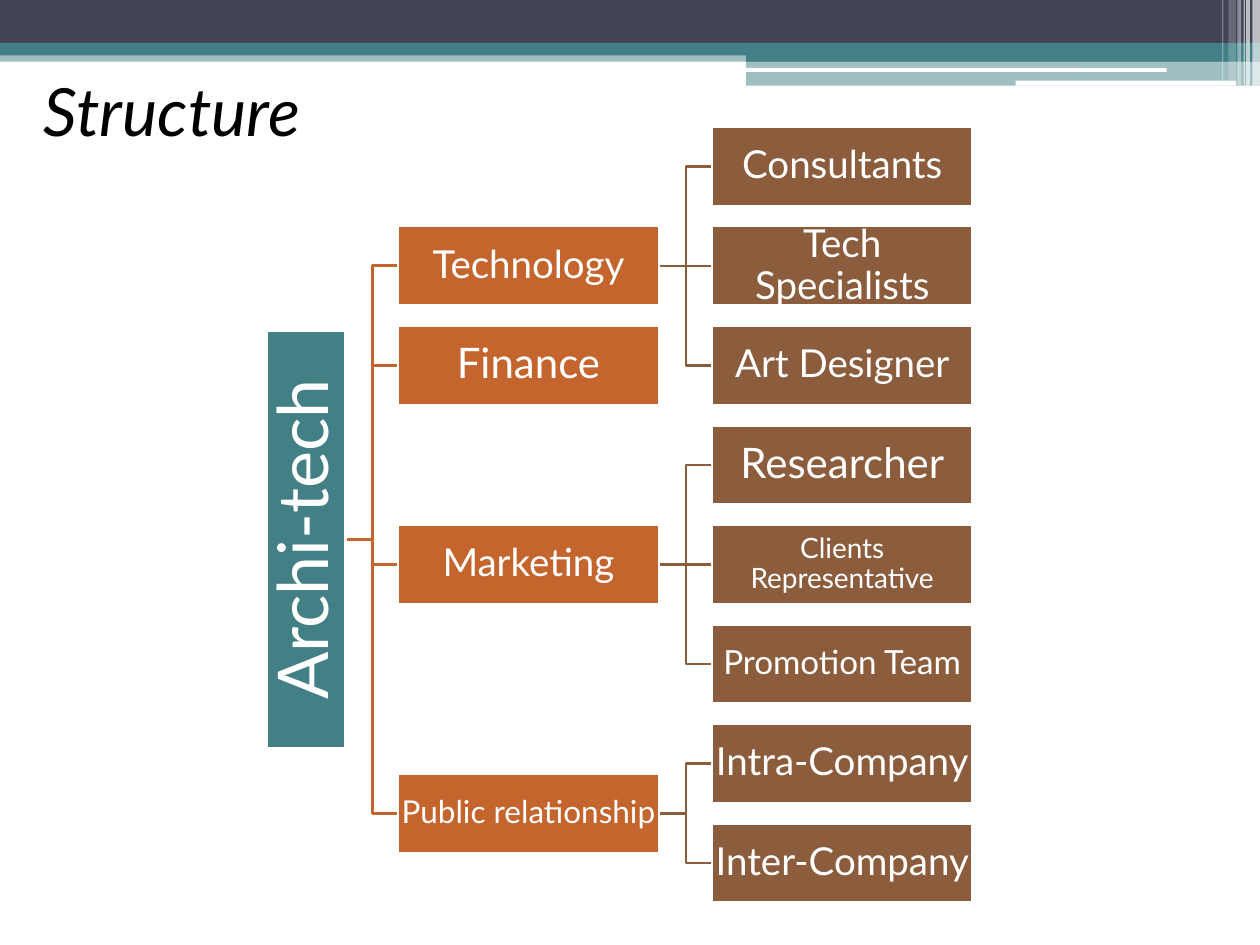
from lxml.etree import SubElement
from pptx import Presentation
from pptx.dml.color import RGBColor
from pptx.enum.shapes import MSO_CONNECTOR, MSO_SHAPE
from pptx.enum.text import MSO_ANCHOR, PP_ALIGN
from pptx.oxml.ns import qn
from pptx.util import Inches, Pt

WHITE = RGBColor(0xFF, 0xFF, 0xFF)
BLACK = RGBColor(0x00, 0x00, 0x00)
NAVY = RGBColor(0x42, 0x44, 0x56)
TEAL = RGBColor(0x43, 0x80, 0x86)
ORANGE = RGBColor(0xC4, 0x65, 0x2D)
BROWN = RGBColor(0x8B, 0x5D, 0x3D)
FONT = "Lato"

BOX_WIDTH, BOX_HEIGHT = 2.07, 0.63
ROOT_LENGTH, ROOT_CENTER = 3.32, 2.43
DEPARTMENT_LEFT, TEAM_LEFT = 3.16, 5.65
LINK_LENGTH = 0.41
FIRST_ROW, ROW_STEP = 1.32, 0.79

BANDS = [
    (0, 0.4, 10, 0.09, TEAL, 50),
    (0, 0, 10, 0.34, NAVY, 100),
    (0, 0.34, 10, 0.1, TEAL, 100),
    (5.92, 0.39, 4.08, 0.1, TEAL, 100),
    (5.92, 0.48, 4.08, 0.2, TEAL, 50),
]
HIGHLIGHTS = [(5.91, 0.54, 3.35, 0.03), (8.06, 0.64, 1.75, 0.04)]
STRIPES = [
    (9.94, 0.06, 0.68, 65),
    (9.89, 0.03, 0.68, 65),
    (9.87, 0.01, 0.68, 60),
    (9.82, 0.03, 0.68, 40),
    (9.75, 0.06, 0.64, 20),
    (9.7, 0.01, 0.64, 30),
]
DEPARTMENTS = [
    ("Technology", 22, 1,
     [("Consultants", 22, 0), ("Tech Specialists", 22, 1), ("Art Designer", 22, 2)]),
    ("Finance", 24, 2, []),
    ("Marketing", 22, 4,
     [("Researcher", 24, 3), ("Clients Representative", 16, 4), ("Promotion Team", 19, 5)]),
    ("Public relationship", 18, 6.5,
     [("Intra-Company", 22, 6), ("Inter-Company", 22, 7)]),
]


def row_center(row):
    return FIRST_ROW + row * ROW_STEP


def add_block(page, left, top, width, height, color, opacity=100, kind=MSO_SHAPE.RECTANGLE):
    block = page.shapes.add_shape(
        kind, Inches(left), Inches(top), Inches(width), Inches(height))
    block.shadow.inherit = False
    block.line.fill.background()
    block.fill.solid()
    block.fill.fore_color.rgb = color
    if opacity < 100:
        color_node = block.fill._xPr.find(qn("a:solidFill"))[0]
        SubElement(color_node, qn("a:alpha")).set("val", str(opacity * 1000))
    return block


def add_text(paragraph, text, size, color):
    span = paragraph.add_run()
    span.text = text
    span.font.name = FONT
    span.font.size = Pt(size)
    span.font.color.rgb = color
    return span


def add_box(page, left, center, width, text, size, color):
    box = add_block(page, left, center - BOX_HEIGHT / 2, width, BOX_HEIGHT, color)
    box.line.color.rgb = WHITE
    box.line.width = Pt(1.5)
    frame = box.text_frame
    frame.word_wrap = True
    frame.vertical_anchor = MSO_ANCHOR.MIDDLE
    inset = Inches(0.02 if size > 20 else 0.01)
    frame.margin_left = frame.margin_right = inset
    frame.margin_top = frame.margin_bottom = inset
    paragraph = frame.paragraphs[0]
    paragraph.alignment = PP_ALIGN.CENTER
    paragraph.line_spacing = 0.9
    add_text(paragraph, text, size, WHITE)
    return box


def add_link(page, right, start, end, color):
    kind = MSO_CONNECTOR.STRAIGHT if start == end else MSO_CONNECTOR.ELBOW
    link = page.shapes.add_connector(
        kind, Inches(right - LINK_LENGTH), Inches(start), Inches(right), Inches(end))
    link.line.color.rgb = color
    link.line.width = Pt(1.5)
    SubElement(link._element.spPr, qn("a:effectLst"))


def add_header(page):
    for left, top, width, height, color, opacity in BANDS:
        add_block(page, left, top, width, height, color, opacity)
    for left, top, width, height in HIGHLIGHTS:
        add_block(page, left, top, width, height, WHITE, kind=MSO_SHAPE.ROUNDED_RECTANGLE)
    for left, width, height, opacity in STRIPES:
        add_block(page, left, 0, width, height, WHITE, opacity)


def add_title(page, text):
    box = page.shapes.add_textbox(Inches(0.25), Inches(0.51), Inches(2.75), Inches(0.74))
    box.text_frame.word_wrap = True
    span = add_text(box.text_frame.paragraphs[0], text, 38, BLACK)
    span.font.italic = True


def add_organisation(page):
    root_center = (row_center(DEPARTMENTS[0][2]) + row_center(DEPARTMENTS[-1][2])) / 2
    for _, _, row, teams in DEPARTMENTS:
        add_link(page, DEPARTMENT_LEFT, root_center, row_center(row), ORANGE)
        for _, _, team_row in teams:
            add_link(page, TEAM_LEFT, row_center(row), row_center(team_row), BROWN)

    root = add_box(page, ROOT_CENTER - ROOT_LENGTH / 2, root_center, ROOT_LENGTH,
                   "Archi-tech", 40, TEAL)
    root.rotation = 270
    for name, size, row, teams in DEPARTMENTS:
        add_box(page, DEPARTMENT_LEFT, row_center(row), BOX_WIDTH, name, size, ORANGE)
        for team, team_size, team_row in teams:
            add_box(page, TEAM_LEFT, row_center(team_row), BOX_WIDTH, team, team_size, BROWN)


def main():
    deck = Presentation()
    deck.slide_width = Inches(10)
    deck.slide_height = Inches(7.5)
    page = deck.slides.add_slide(deck.slide_layouts[6])
    add_header(page)
    add_organisation(page)
    add_title(page, "Structure")
    deck.save("out.pptx")


if __name__ == "__main__":
    main()
